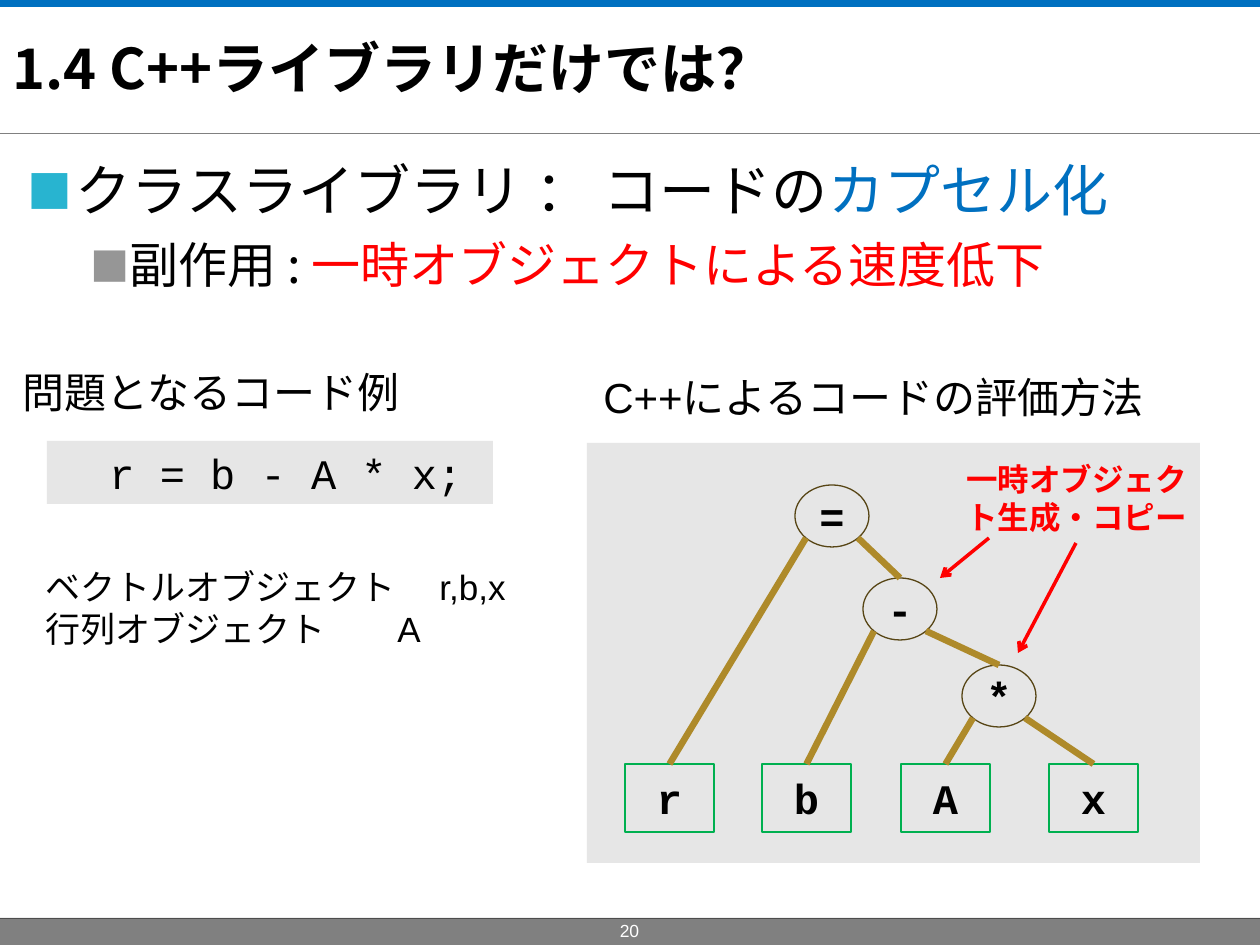
from lxml import etree
from pptx import Presentation
from pptx.dml.color import RGBColor
from pptx.enum.shapes import MSO_CONNECTOR as Connector, MSO_SHAPE as Shape
from pptx.enum.text import MSO_ANCHOR as Anchor, PP_ALIGN as Align
from pptx.oxml.ns import qn
from pptx.util import Emu, Pt

PX = 914400 / 126
SANS, MONO, CJK = "Arial", "Courier New", "Noto Sans CJK JP"
BLACK, WHITE = RGBColor(0, 0, 0), RGBColor(255, 255, 255)
BLUE, RED = RGBColor(0x00, 0x70, 0xC0), RGBColor(0xFF, 0, 0)
GREEN, BROWN = RGBColor(0x00, 0xB0, 0x50), RGBColor(0x57, 0x45, 0x15)
GOLD, PANEL = RGBColor(0xAE, 0x8A, 0x2A), RGBColor(0xE6, 0xE6, 0xE6)
GRAY, DARK = RGBColor(0x80, 0x80, 0x80), RGBColor(0x4D, 0x4D, 0x4D)
CYAN, SILVER = RGBColor(0x28, 0xB4, 0xD0), RGBColor(0x96, 0x96, 0x96)


def px(*lengths):
    return [Emu(round(length * PX)) for length in lengths]


def sub(parent, tag, **attributes):
    return etree.SubElement(parent, qn(tag), attributes)


def write(paragraph, parts, size, font=SANS, bold=False, align=Align.LEFT):
    """Fill a paragraph with (text, colour) parts that share one font."""
    paragraph.alignment = align
    style = paragraph.font
    style.size, style.name, style.bold = Pt(size), font, bold
    style.color.rgb = parts[0][1]
    for text, color in parts:
        run = paragraph.add_run()
        run.text = text
        if color != parts[0][1]:
            run.font.color.rgb = color
    defaults = paragraph._p.pPr.find(qn("a:defRPr"))
    sub(defaults, "a:ea", typeface=CJK)
    return defaults


def add_text(slide, box, anchor=Anchor.TOP, wrap=True):
    frame = slide.shapes.add_textbox(*px(*box)).text_frame
    frame.word_wrap, frame.vertical_anchor = wrap, anchor
    return frame


def add_block(slide, kind, box, fill=None, line=None, width=0.75):
    block = slide.shapes.add_shape(kind, *px(*box))
    block.shadow.inherit = False
    if fill is None:
        block.fill.background()
    else:
        block.fill.solid()
        block.fill.fore_color.rgb = fill
    if line is None:
        block.line.fill.background()
    else:
        block.line.color.rgb, block.line.width = line, Pt(width)
    return block


def add_line(slide, ends, color, width, arrow=False):
    line = slide.shapes.add_connector(Connector.STRAIGHT, *px(*ends))
    line.line.color.rgb, line.line.width = color, Pt(width)
    if arrow:
        sub(line.line._get_or_add_ln(), "a:tailEnd", type="arrow")
    sub(line._element.spPr, "a:effectLst")
    return line


def insert_before_defaults(paragraph, *elements):
    defaults = paragraph._p.pPr.find(qn("a:defRPr"))
    for element in elements:
        defaults.addprevious(element)


def set_bullet(paragraph, color, left, hanging):
    properties = paragraph._p.pPr
    properties.set("marL", str(px(left)[0]))
    properties.set("indent", str(-px(hanging)[0]))
    bullet_color = etree.Element(qn("a:buClr"))
    sub(bullet_color, "a:srgbClr", val=str(color))
    insert_before_defaults(
        paragraph, bullet_color,
        etree.Element(qn("a:buSzPct"), val="80000"),
        etree.Element(qn("a:buFont"), typeface=CJK),
        etree.Element(qn("a:buChar"), char="■"))


def set_tab(paragraph, position):
    tabs = etree.Element(qn("a:tabLst"))
    sub(tabs, "a:tab", pos=str(px(position)[0]), algn="l")
    insert_before_defaults(paragraph, tabs)


def header(slide, left, top, width, height):
    add_block(slide, Shape.RECTANGLE, (left, top + 1, width, 4), BLUE, BLUE, 2)
    add_line(slide, (left, top + height - 1, left + width, top + height - 1), GRAY, 0.5)
    title = add_text(slide, (left, top, 1082, height), Anchor.MIDDLE)
    defaults = write(title.paragraphs[0], [("1.4 C++ライブラリだけでは？", BLACK)],
                     32, CJK, True)
    # Soft shadow behind the title letters
    effects = etree.Element(qn("a:effectLst"))
    shadow = sub(effects, "a:outerShdw", dist="25400", dir="2700000")
    sub(shadow, "a:srgbClr", val="C0C0C0")
    defaults.find(qn("a:latin")).addprevious(effects)


def footer(slide, left, top, width, height):
    add_block(slide, Shape.RECTANGLE, (left, top, width, height), GRAY)
    add_line(slide, (left, top, left + width, top), DARK, 0.5)
    number = add_text(slide, (left + 580, top - 4, 99, 53))
    write(number.paragraphs[0], [("20", WHITE)], 10, align=Align.CENTER)


def key_points(slide, *box):
    frame = add_text(slide, box)
    point, drawback = frame.paragraphs[0], frame.add_paragraph()
    write(point, [("クラスライブラリ ： コードの", BLACK), ("カプセル化", BLUE)], 32)
    write(drawback, [("副作用 : ", BLACK), ("一時オブジェクトによる速度低下", RED)], 28, CJK)
    drawback.level = 1
    point.space_before, drawback.space_before = Pt(8), Pt(7)
    set_bullet(point, CYAN, 48, 48)
    set_bullet(drawback, SILVER, 102, 39)


def code_example(slide, left, top):
    heading = add_text(slide, (left, top, 403, 63), wrap=False)
    write(heading.paragraphs[0], [("問題となるコード例", BLACK)], 24)

    code = add_block(slide, Shape.RECTANGLE, (left + 37, top + 81, 446, 63), PANEL)
    code.text_frame.vertical_anchor = Anchor.TOP
    statement = code.text_frame.paragraphs[0]
    write(statement, [("r = b - A * x;", BLACK)], 24, MONO)
    statement._p.pPr.set("marL", str(px(50)[0]))

    legend = add_text(slide, (left + 23, top + 199, 488, 97), wrap=False)
    vectors, matrix = legend.paragraphs[0], legend.add_paragraph()
    for row, text, tab in ((vectors, "ベクトルオブジェクト\tr,b,x", 394),
                           (matrix, "行列オブジェクト\tA", 352)):
        write(row, [(text, BLACK)], 20)
        set_tab(row, tab)


def evaluation_tree(slide, left, top, width, height):
    add_block(slide, Shape.RECTANGLE, (left, top, width, height), PANEL)
    heading = add_text(slide, (left + 4, top - 78, 576, 63), wrap=False)
    write(heading.paragraphs[0], [("C++によるコードの評価方法", BLACK)], 24)

    # Operators are ellipses, operands are boxes on one row
    operators = {"=": (208, 42), "-": (276, 135), "*": (375, 222)}
    operands = {"r": 38, "b": 175, "A": 314, "x": 462}
    nodes = {}
    for symbol, (x, y) in operators.items():
        nodes[symbol] = add_block(slide, Shape.OVAL, (left + x, top + y, 74, 62), line=BROWN)
    for symbol, x in operands.items():
        nodes[symbol] = add_block(slide, Shape.RECTANGLE, (left + x, top + 321, 89, 68),
                                  line=GREEN)
    for symbol, node in nodes.items():
        node.text_frame.vertical_anchor = Anchor.MIDDLE
        write(node.text_frame.paragraphs[0], [(symbol, BLACK)], 24, MONO, True, Align.CENTER)

    # Branches leave the lower diagonals of an ellipse
    for parent, children in {"=": "r-", "-": "b*", "*": "Ax"}.items():
        x, y = operators[parent]
        for child, side in zip(children, (-1, 1)):
            start = left + x + 37 + side * 26, top + y + 31 + 22
            branch = add_line(slide, (*start, *start), GOLD, 3.75)
            branch.end_connect(nodes[child], 0)

    # Callout on temporary objects
    callout = add_text(slide, (left + 353, top + 11, 273, 88))
    write(callout.paragraphs[0], [("一時オブジェクト生成・コピー", RED)], 18, SANS, True,
          Align.CENTER)
    for x1, y1, x2, y2 in ((402, 95, 353, 135), (489, 100, 431, 210)):
        add_line(slide, (left + x1, top + y1, left + x2, top + y2), RED, 2, arrow=True)


def main():
    deck = Presentation()
    deck.slide_width, deck.slide_height = px(1260, 945)
    slide = deck.slides.add_slide(deck.slide_layouts[6])
    footer(slide, 0, 918, 1260, 27)
    header(slide, 0, 0, 1260, 134)
    key_points(slide, 15, 149, 1230, 169)
    code_example(slide, 10, 360)
    evaluation_tree(slide, 587, 443, 613, 420)
    deck.save("out.pptx")


if __name__ == "__main__":
    main()
